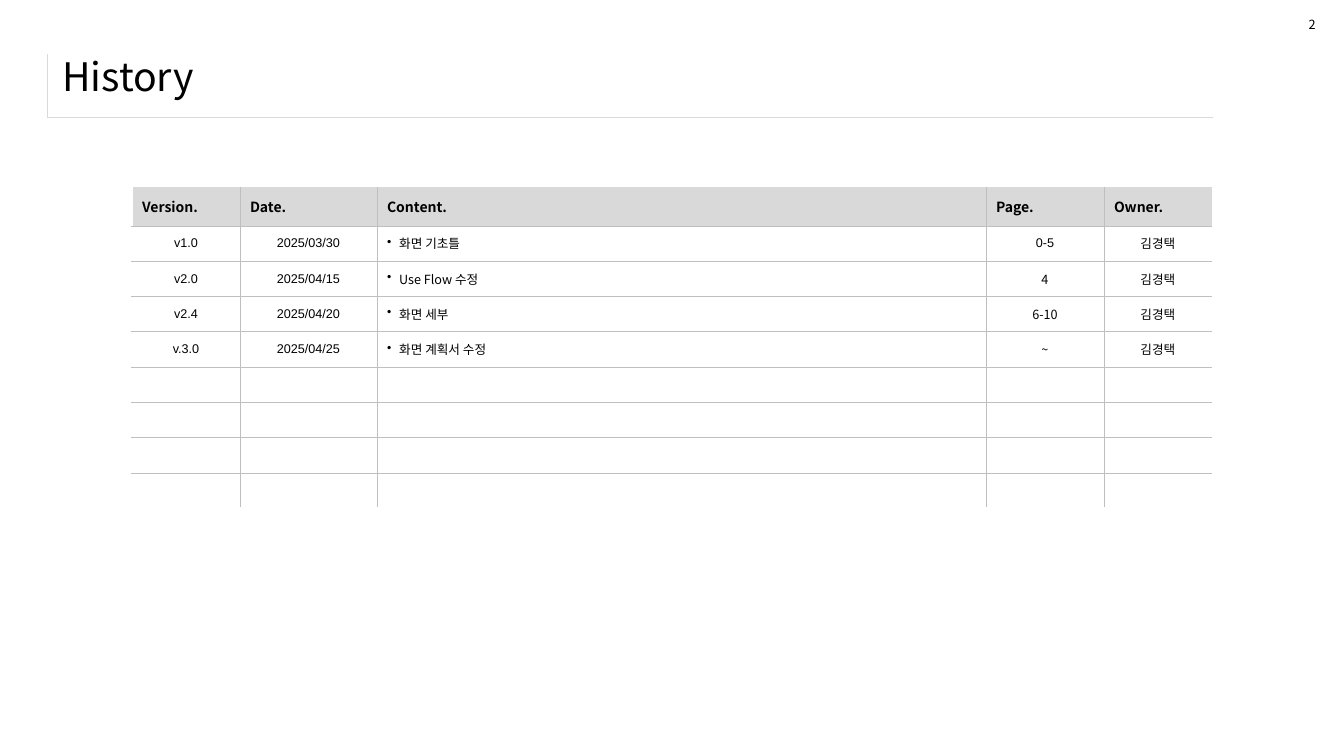
from lxml import etree
from pptx import Presentation
from pptx.dml.color import RGBColor
from pptx.enum.text import MSO_ANCHOR, PP_ALIGN
from pptx.oxml.ns import qn
from pptx.util import Inches, Pt

MIDDLE, TOP = MSO_ANCHOR.MIDDLE, MSO_ANCHOR.TOP
LEFT, CENTER = PP_ALIGN.LEFT, PP_ALIGN.CENTER

# Content
TITLE = "History"
PAGE_NUMBER = "2"
HEADERS = ["Version.", "Date.", "Content.", "Page.", "Owner."]
HISTORY = [
    ("v1.0", "2025/03/30", "화면 기초틀", "0-5", "김경택"),
    ("v2.0", "2025/04/15", "Use Flow 수정", "4", "김경택"),
    ("v2.4", "2025/04/20", "화면 세부", "6-10", "김경택"),
    ("v.3.0", "2025/04/25", "화면 계획서 수정", "~", "김경택"),
]
EMPTY_ROWS = 4

# Style
SANS, ARIAL = "Noto Sans CJK KR", "Arial"
BLACK = RGBColor(0x00, 0x00, 0x00)
WHITE = RGBColor(0xFF, 0xFF, 0xFF)
HEADER_GRAY = RGBColor(0xD9, 0xD9, 0xD9)
GRID_GRAY = RGBColor(0xBF, 0xBF, 0xBF)
NO_STYLE = "{2D5ABB26-0587-4C30-8999-92F81FD0307C}"
GRID, FRAME, OUTER = (GRID_GRAY, 0.25), (HEADER_GRAY, 0.25), (WHITE, 1)

# Layout
COL_WIDTHS = [1.07, 1.36, 6.04, 1.17, 1.07]
HEADER_H, ROW_H = 0.38, 0.35
CONTENT_COL = 2


def write(tf, text, size, font=SANS, bold=False, align=LEFT):
    p = tf.paragraphs[0]
    p.alignment = align
    p.font.size, p.font.name, p.font.bold = Pt(size), font, bold
    p.font.color.rgb = BLACK
    latin = p._p.pPr.find(qn("a:defRPr")).find(qn("a:latin"))
    ea = etree.Element(qn("a:ea"), typeface=font)
    latin.addnext(ea)
    if text:
        p.add_run().text = text
    else:
        etree.SubElement(p._p, qn("a:endParaRPr"), sz=str(size * 100))
    return p


def add_text(slide, box, text, size, anchor, wrap):
    tf = slide.shapes.add_textbox(*map(Inches, box)).text_frame
    tf.word_wrap, tf.vertical_anchor = wrap, anchor
    write(tf, text, size)


def add_bullet(p):
    pPr = p._p.get_or_add_pPr()
    pPr.set("marL", str(Inches(0.12)))
    pPr.set("indent", str(-Inches(0.12)))
    bullet = etree.Element(qn("a:buChar"), char="•")
    pPr.find(qn("a:defRPr")).addprevious(bullet)


def set_borders(cell, **sides):
    tcPr = cell._tc.get_or_add_tcPr()
    for i, side in enumerate("LRTB"):
        ln = etree.Element(qn("a:ln" + side))
        if side in sides:
            color, width = sides[side]
            ln.set("w", str(Pt(width)))
            fill = etree.SubElement(ln, qn("a:solidFill"))
            etree.SubElement(fill, qn("a:srgbClr"), val=str(color))
        else:
            etree.SubElement(ln, qn("a:noFill"))
        tcPr.insert(i, ln)


def add_plain_table(slide, left, top, widths, heights):
    table = slide.shapes.add_table(
        len(heights), len(widths), Inches(left), Inches(top),
        Inches(sum(widths)), Inches(sum(heights))).table
    table.first_row = table.horz_banding = False
    table._tbl.tblPr.find(qn("a:tableStyleId")).text = NO_STYLE
    for col, width in zip(table.columns, widths):
        col.width = Inches(width)
    for row, height in zip(table.rows, heights):
        row.height = Inches(height)
    for cell in table.iter_cells():
        cell.fill.background()
        cell.vertical_anchor = MIDDLE
    return table


def add_history(slide):
    rows = [HEADERS] + HISTORY + [[""] * len(HEADERS)] * EMPTY_ROWS
    heights = [HEADER_H] + [ROW_H] * (len(rows) - 1)
    table = add_plain_table(slide, 1.31, 1.86, COL_WIDTHS, heights)
    last_row, last_col = len(rows) - 1, len(HEADERS) - 1
    for r, row in enumerate(rows):
        for c, text in enumerate(row):
            cell = table.cell(r, c)
            if r == 0:
                cell.fill.solid()
                cell.fill.fore_color.rgb = HEADER_GRAY
                write(cell.text_frame, text, 10, bold=True)
            else:
                font = ARIAL if c < CONTENT_COL or text == "0-5" else SANS
                align = LEFT if c == CONTENT_COL else CENTER
                p = write(cell.text_frame, text, 9, font, align=align)
                if c == CONTENT_COL and text:
                    add_bullet(p)
            sides = {"L": GRID if c else OUTER,
                     "B": GRID if r < last_row else OUTER}
            if r > 0:
                sides["T"] = GRID
            if c < last_col:
                sides["R"] = GRID
            set_borders(cell, **sides)


def main():
    prs = Presentation()
    prs.slide_width, prs.slide_height = Inches(13.33), Inches(7.5)
    slide = prs.slides.add_slide(prs.slide_layouts[6])

    # Title and its frame
    frame = add_plain_table(slide, 0.47, 0.54, [11.56], [0.62]).cell(0, 0)
    write(frame.text_frame, "", 10)
    set_borders(frame, L=FRAME, B=FRAME)
    add_text(slide, (0.52, 0.44, 12.49, 0.63), TITLE, 28, MIDDLE, True)

    # Version history
    add_history(slide)

    # Page number
    add_text(slide, (12.88, 0.12, 0.27, 0.25), PAGE_NUMBER, 9, TOP, False)
    prs.save("out.pptx")


if __name__ == "__main__":
    main()
